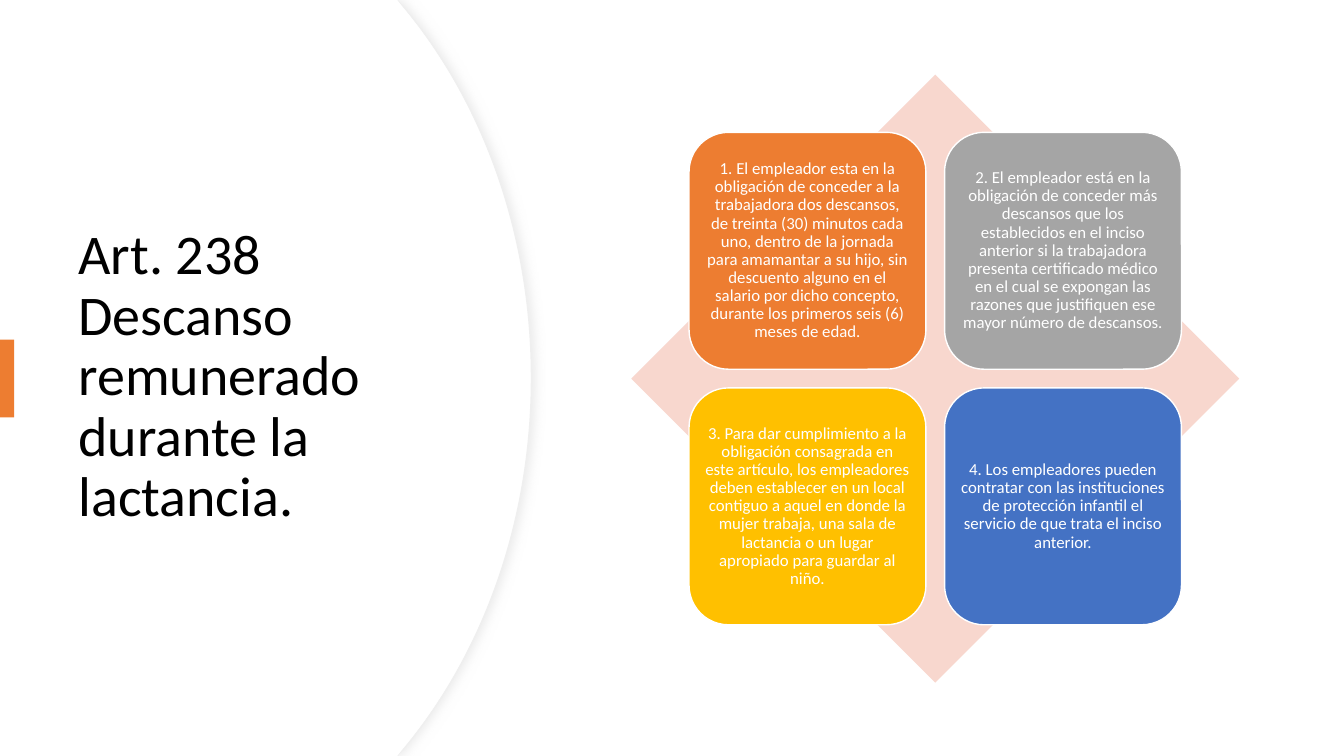
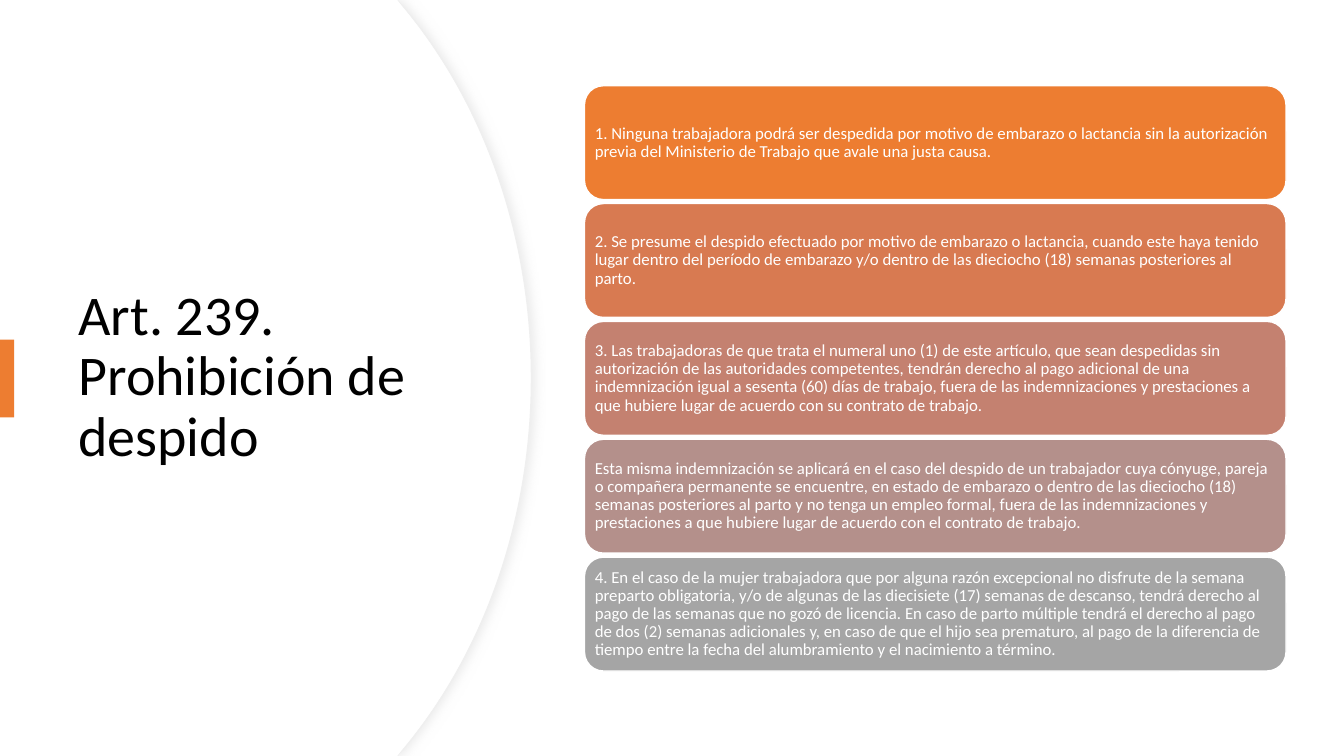
from lxml import etree
from pptx import Presentation
from pptx import util as u
from pptx.dml import color
from pptx.enum import shapes, text
from pptx.oxml import ns

WIDTH, HEIGHT = 33.87, 19.05
FONT = "Calibri"
WHITE, BLACK, RIM, SHADOW = "FFFFFF", "000000", "EFEFEF", "D9D9D9"
ORANGE, GREY, GOLD, BLUE, PINK = "ED7D31", "A5A5A5", "FFC000", "4472C4", "F8D7CE"

DIAMOND_CENTER, DIAMOND_SIZE = (23.57, 9.54), 15.32
CARD_SIZE, CARD_GAP = 5.97, 0.47
BAR_LEFT, BAR_TOP, BAR_WIDTH, BAR_HEIGHT, BAR_PITCH = 14.73, 2.16, 17.68, 2.87, 2.97

BREAKS = [
    (ORANGE, "1. El empleador esta en la obligación de conceder a la trabajadora dos descansos, "
     "de treinta (30) minutos cada uno, dentro de la jornada para amamantar a su hijo, sin "
     "descuento alguno en el salario por dicho concepto, durante los primeros seis (6) meses "
     "de edad."),
    (GREY, "2. El empleador está en la obligación de conceder más descansos que los establecidos "
     "en el inciso anterior si la trabajadora presenta certificado médico en el cual se expongan "
     "las razones que justifiquen ese mayor número de descansos."),
    (GOLD, "3. Para dar cumplimiento a la obligación consagrada en este artículo, los empleadores "
     "deben establecer en un local contiguo a aquel en donde la mujer trabaja, una sala de "
     "lactancia o un lugar apropiado para guardar al niño."),
    (BLUE, "4. Los empleadores pueden contratar con las instituciones de protección infantil el "
     "servicio de que trata el inciso anterior."),
]

DISMISSAL_RULES = [
    (ORANGE, "1. Ninguna trabajadora podrá ser despedida por motivo de embarazo o lactancia sin "
     "la autorización previa del Ministerio de Trabajo que avale una justa causa."),
    ("D87A51", "2. Se presume el despido efectuado por motivo de embarazo o lactancia, cuando "
     "este haya tenido lugar dentro del período de embarazo y/o dentro de las dieciocho (18) "
     "semanas posteriores al parto."),
    ("C48170", "3. Las trabajadoras de que trata el numeral uno (1) de este artículo, que sean "
     "despedidas sin autorización de las autoridades competentes, tendrán derecho al pago "
     "adicional de una indemnización igual a sesenta (60) días de trabajo, fuera de las "
     "indemnizaciones y prestaciones a que hubiere lugar de acuerdo con su contrato de trabajo."),
    ("B4908B", "Esta misma indemnización se aplicará en el caso del despido de un trabajador cuya "
     "cónyuge, pareja o compañera permanente se encuentre, en estado de embarazo o dentro de las "
     "dieciocho (18) semanas posteriores al parto y no tenga un empleo formal, fuera de las "
     "indemnizaciones y prestaciones a que hubiere lugar de acuerdo con el contrato de trabajo."),
    (GREY, "4. En el caso de la mujer trabajadora que por alguna razón excepcional no disfrute de "
     "la semana preparto obligatoria, y/o de algunas de las diecisiete (17) semanas de descanso, "
     "tendrá derecho al pago de las semanas que no gozó de licencia. En caso de parto múltiple "
     "tendrá el derecho al pago de dos (2) semanas adicionales y, en caso de que el hijo sea "
     "prematuro, al pago de la diferencia de tiempo entre la fecha del alumbramiento y el "
     "nacimiento a término."),
]


def rgb(value):
    return color.RGBColor.from_string(value)


def paint(shape, fill, line=None, weight=1):
    shape.shadow.inherit = False
    shape.fill.solid()
    shape.fill.fore_color.rgb = rgb(fill)
    if line:
        shape.line.color.rgb = rgb(line)
        shape.line.width = u.Pt(weight)
    else:
        shape.line.fill.background()


def add_figure(page, preset, left, top, width, height, fill, line=None):
    figure = page.shapes.add_shape(preset, u.Cm(left), u.Cm(top), u.Cm(width), u.Cm(height))
    paint(figure, fill, line)
    return figure


def write(box, words, size, ink, align=text.PP_ALIGN.LEFT):
    frame = box.text_frame
    frame.word_wrap = True
    frame.vertical_anchor = text.MSO_ANCHOR.MIDDLE
    para = frame.paragraphs[0]
    para.text = words
    para.alignment = align
    para.line_spacing = 0.9
    para.font.name = FONT
    para.font.size = u.Pt(size)
    para.font.color.rgb = rgb(ink)


def add_card(page, left, top, width, height, fill, words, align):
    card = add_figure(page, shapes.MSO_SHAPE.ROUNDED_RECTANGLE,
                      left, top, width, height, fill, WHITE)
    frame = card.text_frame
    frame.margin_left = frame.margin_right = u.Cm(0.12)
    frame.margin_top = frame.margin_bottom = u.Cm(0.12)
    write(card, words, 12, WHITE, align)


def bend(lines):
    """Turn three consecutive line segments into one cubic curve."""
    curve = etree.Element(ns.qn("a:cubicBezTo"))
    lines[0].addprevious(curve)
    for line in lines:
        curve.append(line[0])
        line.getparent().remove(line)


def add_curved_panel(page, reach):
    """White panel bleeding off the left, its right side bulging out to reach."""
    upper = [(10.01, 0), (reach - 3.2, 0.2), (reach - 1.22, 2.59), (reach, 5.89)]
    lower = [(x, HEIGHT - y) for x, y in reversed(upper)]
    outline = upper + [(reach, HEIGHT / 2)] + lower + [(0, HEIGHT)]
    builder = page.shapes.build_freeform(0, 0)
    builder.add_line_segments([(u.Cm(x), u.Cm(y)) for x, y in outline], close=True)
    panel = builder.convert_to_shape()
    lines = list(panel._element.iter(ns.qn("a:lnTo")))
    bend(lines[2:5])
    bend(lines[5:8])
    return panel


def add_soft_shadow(shape):
    effects = shape._element.spPr.find(ns.qn("a:effectLst"))
    shadow = etree.SubElement(effects, ns.qn("a:outerShdw"), blurRad=str(u.Pt(7)),
                              dist=str(u.Pt(3)), dir="0", algn="l", rotWithShape="0")
    tint = etree.SubElement(shadow, ns.qn("a:srgbClr"), val=SHADOW)
    etree.SubElement(tint, ns.qn("a:alpha"), val="50000")


def add_page(deck, title):
    page = deck.slides.add_slide(deck.slide_layouts[6])
    rim = add_curved_panel(page, 13.39)
    paint(rim, WHITE, RIM, 0.75)
    add_soft_shadow(rim)
    paint(add_curved_panel(page, 13.36), WHITE)
    box = page.shapes.add_textbox(u.Cm(1.73), u.Cm(3.23), u.Cm(10.01), u.Cm(12.57))
    write(box, title, 40, BLACK)
    add_figure(page, shapes.MSO_SHAPE.RECTANGLE, 0, 8.56, 0.36, 1.96, ORANGE)
    return page


def add_card_matrix(page, items):
    """Two by two cards centred on a diamond."""
    center_x, center_y = DIAMOND_CENTER
    add_figure(page, shapes.MSO_SHAPE.DIAMOND, center_x - DIAMOND_SIZE / 2,
               center_y - DIAMOND_SIZE / 2, DIAMOND_SIZE, DIAMOND_SIZE, PINK)
    pitch = CARD_SIZE + CARD_GAP
    offset = CARD_SIZE + CARD_GAP / 2
    for index, (fill, words) in enumerate(items):
        row, column = divmod(index, 2)
        add_card(page, center_x - offset + column * pitch, center_y - offset + row * pitch,
                 CARD_SIZE, CARD_SIZE, fill, words, text.PP_ALIGN.CENTER)


def add_bar_stack(page, items):
    for index, (fill, words) in enumerate(items):
        add_card(page, BAR_LEFT, BAR_TOP + index * BAR_PITCH, BAR_WIDTH, BAR_HEIGHT,
                 fill, words, text.PP_ALIGN.LEFT)


def main():
    deck = Presentation()
    deck.slide_width, deck.slide_height = u.Cm(WIDTH), u.Cm(HEIGHT)
    add_card_matrix(add_page(deck, "Art. 238 Descanso remunerado durante la lactancia."), BREAKS)
    add_bar_stack(add_page(deck, "Art. 239. Prohibición de despido"), DISMISSAL_RULES)
    deck.save("out.pptx")


if __name__ == "__main__":
    main()
